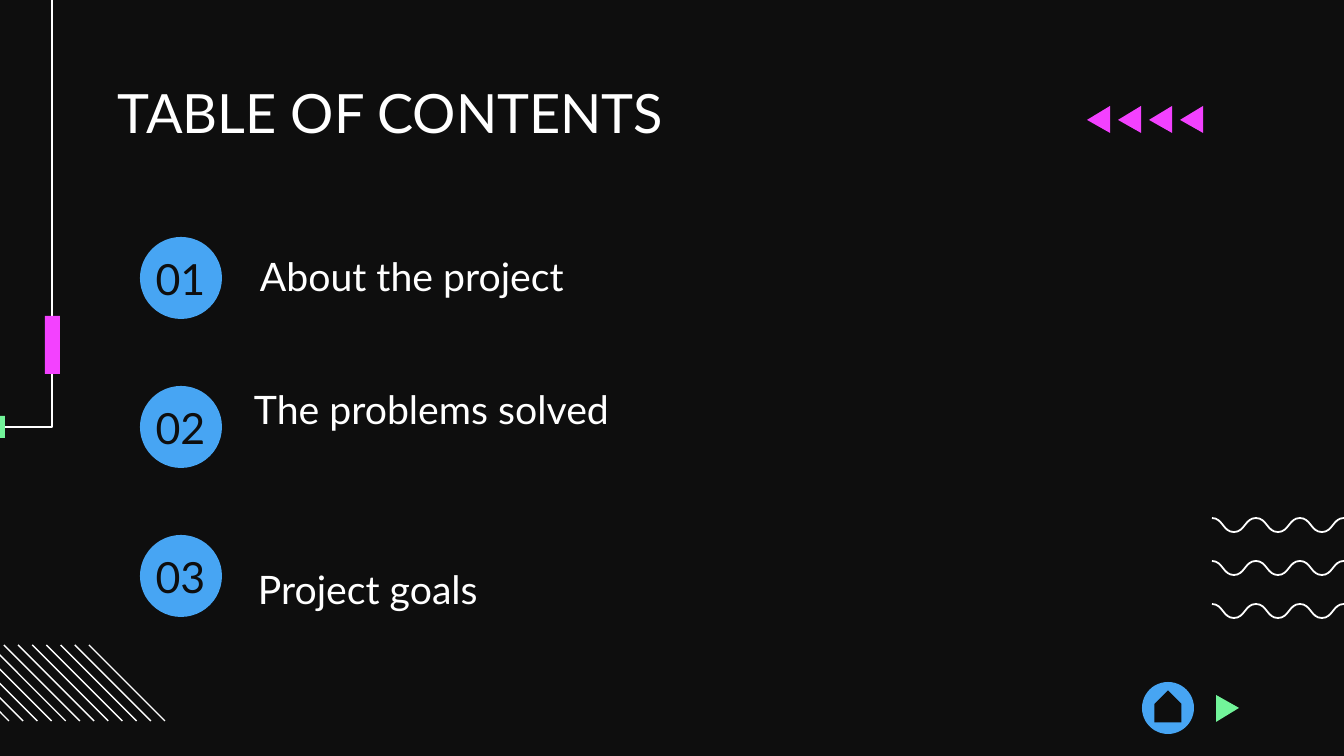
from lxml import etree
from pptx import Presentation
from pptx.dml.color import RGBColor
from pptx.enum import shapes, text
from pptx.oxml.ns import qn
from pptx.util import Pt

PX = 914400 / 134.4
FONT = "Lato"

DARK = RGBColor(0x0E, 0x0E, 0x0E)
WHITE = RGBColor(0xFF, 0xFF, 0xFF)
BLUE = RGBColor(0x47, 0xA5, 0xF3)
PINK = RGBColor(0xF3, 0x41, 0xFF)
GREEN = RGBColor(0x72, 0xF4, 0x9A)

TITLE = "TABLE OF CONTENTS"
# number, label, label left, label top
CONTENTS = [
    ("01", "About the project", 247, 245),
    ("02", "The problems solved", 241, 378),
    ("03", "Project goals", 245, 558),
]
CIRCLE_LEFT, CIRCLE_TOP, CIRCLE_SIZE, ROW_STEP = 140, 237, 82, 149

FRAME = {"word_wrap": True, "auto_size": text.MSO_AUTO_SIZE.NONE,
         "vertical_anchor": text.MSO_ANCHOR.TOP}
TITLE_STYLE = {"size": Pt(29), "color": WHITE}
NUMBER_STYLE = {"size": Pt(23), "color": DARK, "inset_top": 27,
                "paragraph": {"alignment": text.PP_ALIGN.CENTER}}
LABEL_STYLE = {"size": Pt(21), "color": WHITE,
               "paragraph": {"line_spacing": 1.15, "space_after": Pt(12)}}

WAVE_LEFT, WAVE_HEIGHT, HALF_WAVE, WAVE_COUNT = 1212, 14, 22, 7
WAVE_TOPS = [518, 561, 604]
HATCH_FIRST, HATCH_LAST, HATCH_COUNT = -67, 89, 12
HATCH_TOP, HATCH_SIZE = 645, 76
TRIANGLE_WIDTH, TRIANGLE_HEIGHT = 23, 27


def px(*lengths):
    return [round(length * PX) for length in lengths]


def set_all(target, values):
    for name, value in values.items():
        setattr(target, name, value)


def write(shape, words, style):
    frame = shape.text_frame
    top, side, bottom = px(style.get("inset_top", 0), 13, 13)
    set_all(frame, FRAME | {"margin_top": top, "margin_bottom": bottom,
                            "margin_left": side, "margin_right": side})
    paragraph = frame.paragraphs[0]
    set_all(paragraph, {"alignment": text.PP_ALIGN.LEFT} | style.get("paragraph", {}))
    run = paragraph.add_run()
    run.text = words
    set_all(run.font, {"name": FONT, "size": style["size"], "bold": False})
    run.font.color.rgb = style["color"]


def paint(shape, color):
    shape.shadow.inherit = False
    shape.fill.solid()
    shape.fill.fore_color.rgb = color
    shape.line.fill.background()
    return shape


def stroke(line, width):
    line.color.rgb = WHITE
    line.width = Pt(width)


def add_preset(slide, kind, box, color):
    return paint(slide.shapes.add_shape(kind, *px(*box)), color)


def add_outline(slide, points, close):
    builder = slide.shapes.build_freeform(*points[0], scale=PX)
    builder.add_line_segments(points[1:], close=close)
    return builder.convert_to_shape()


def add_open_line(slide, points, width):
    shape = add_outline(slide, points, close=False)
    shape.shadow.inherit = False
    shape.fill.background()
    stroke(shape.line, width)
    return shape


def add_triangle(slide, base, tip, top, color):
    """Draw a triangle from its upright base to a tip on the left or right."""
    points = [(base, top), (tip, top + TRIANGLE_HEIGHT / 2), (base, top + TRIANGLE_HEIGHT)]
    paint(add_outline(slide, points, close=True), color)


def add_wave(slide, top):
    levels = [top, top + WAVE_HEIGHT]
    points = [(WAVE_LEFT, top)]
    for i in range(WAVE_COUNT):
        left = WAVE_LEFT + i * HALF_WAVE
        middle, right = left + HALF_WAVE / 2, left + HALF_WAVE
        start, end = levels[i % 2], levels[(i + 1) % 2]
        points += [(middle, start), (middle, end), (right, end)]
    shape = add_open_line(slide, points, 0.95)
    bend(shape)


def bend(shape):
    """Turn each three line segments into one Bezier curve."""
    outline = shape._element.find(".//" + qn("a:path"))
    segments = outline.findall(qn("a:lnTo"))
    for i in range(0, len(segments), 3):
        curve = etree.SubElement(outline, qn("a:cubicBezTo"))
        for segment in segments[i:i + 3]:
            curve.append(segment[0])
            outline.remove(segment)


def add_hatching(slide):
    step = (HATCH_LAST - HATCH_FIRST) / (HATCH_COUNT - 1)
    for i in range(HATCH_COUNT):
        left = HATCH_FIRST + i * step
        connector = slide.shapes.add_connector(
            shapes.MSO_CONNECTOR.STRAIGHT,
            *px(left, HATCH_TOP, left + HATCH_SIZE, HATCH_TOP + HATCH_SIZE))
        stroke(connector.line, 0.75)
        etree.SubElement(connector._element.spPr, qn("a:effectLst"))


def add_decoration(slide):
    for top in WAVE_TOPS:
        add_wave(slide, top)
    add_hatching(slide)
    add_open_line(slide, [(-528, 427), (52, 427), (52, -30)], 0.75)
    add_preset(slide, shapes.MSO_SHAPE.RECTANGLE, (-16, 416, 21, 22), GREEN)
    add_preset(slide, shapes.MSO_SHAPE.RECTANGLE, (45, 316, 15, 58), PINK)
    for i in range(4):
        tip = 1087 + 31 * i
        add_triangle(slide, tip + TRIANGLE_WIDTH, tip, 106, PINK)


def add_contents(slide):
    for i, (number, label, left, top) in enumerate(CONTENTS):
        circle_top = CIRCLE_TOP + i * ROW_STEP
        add_preset(slide, shapes.MSO_SHAPE.OVAL,
                   (CIRCLE_LEFT, circle_top, CIRCLE_SIZE, CIRCLE_SIZE), BLUE)
        number_box = slide.shapes.add_textbox(*px(120, circle_top - 11, 121, 82))
        write(number_box, number, NUMBER_STYLE)
        label_box = slide.shapes.add_textbox(*px(left, top, 425, 52))
        write(label_box, label, LABEL_STYLE)


def add_navigation(slide):
    add_preset(slide, shapes.MSO_SHAPE.OVAL, (1142, 682, 52, 52), BLUE)
    house = add_preset(slide, shapes.MSO_SHAPE.PENTAGON, (1152, 693, 32, 27), DARK)
    house.rotation = 270
    add_triangle(slide, 1216, 1216 + TRIANGLE_WIDTH, 695, GREEN)


def main():
    presentation = Presentation()
    presentation.slide_width, presentation.slide_height = px(1344, 756)
    slide = presentation.slides.add_slide(presentation.slide_layouts[5])
    slide.background.fill.solid()
    slide.background.fill.fore_color.rgb = DARK

    title = slide.shapes.title
    set_all(title, dict(zip(("left", "top", "width", "height"), px(105, 79, 1134, 62))))
    write(title, TITLE, TITLE_STYLE)

    add_decoration(slide)
    add_contents(slide)
    add_navigation(slide)
    presentation.save("out.pptx")


if __name__ == "__main__":
    main()
